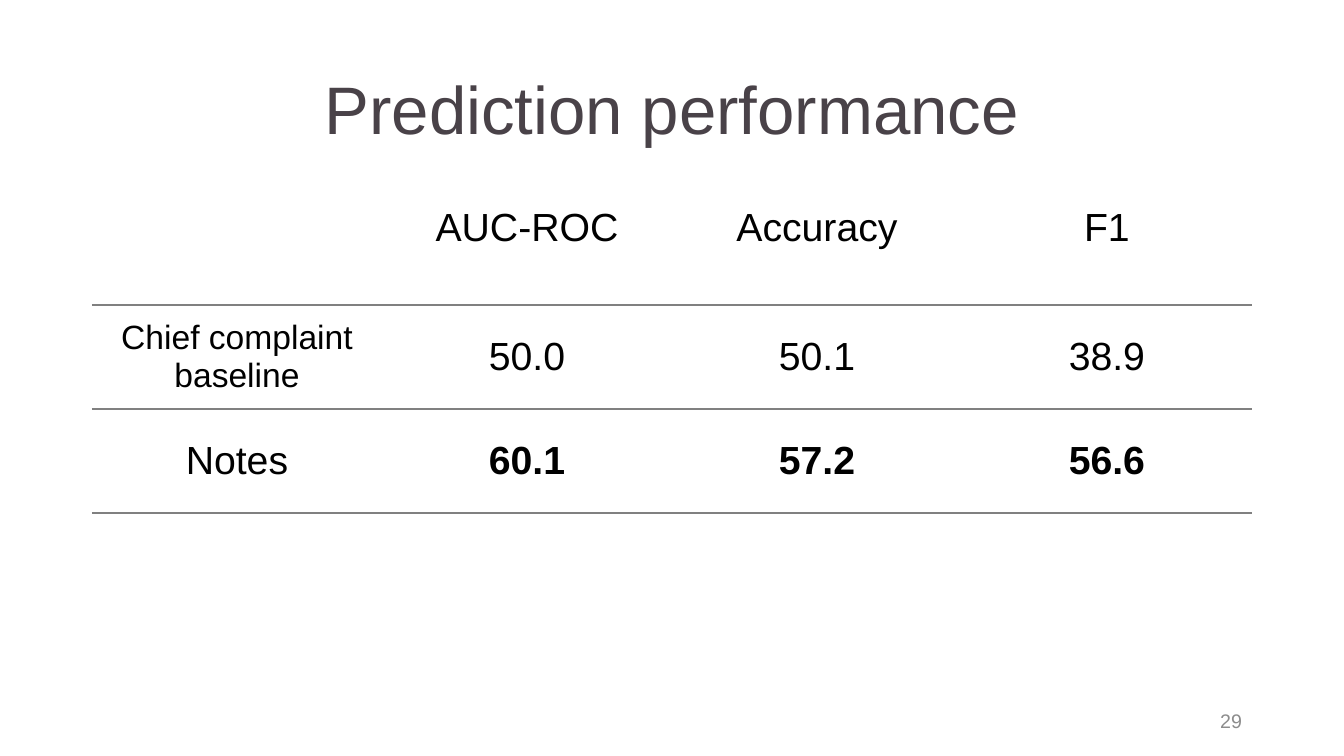
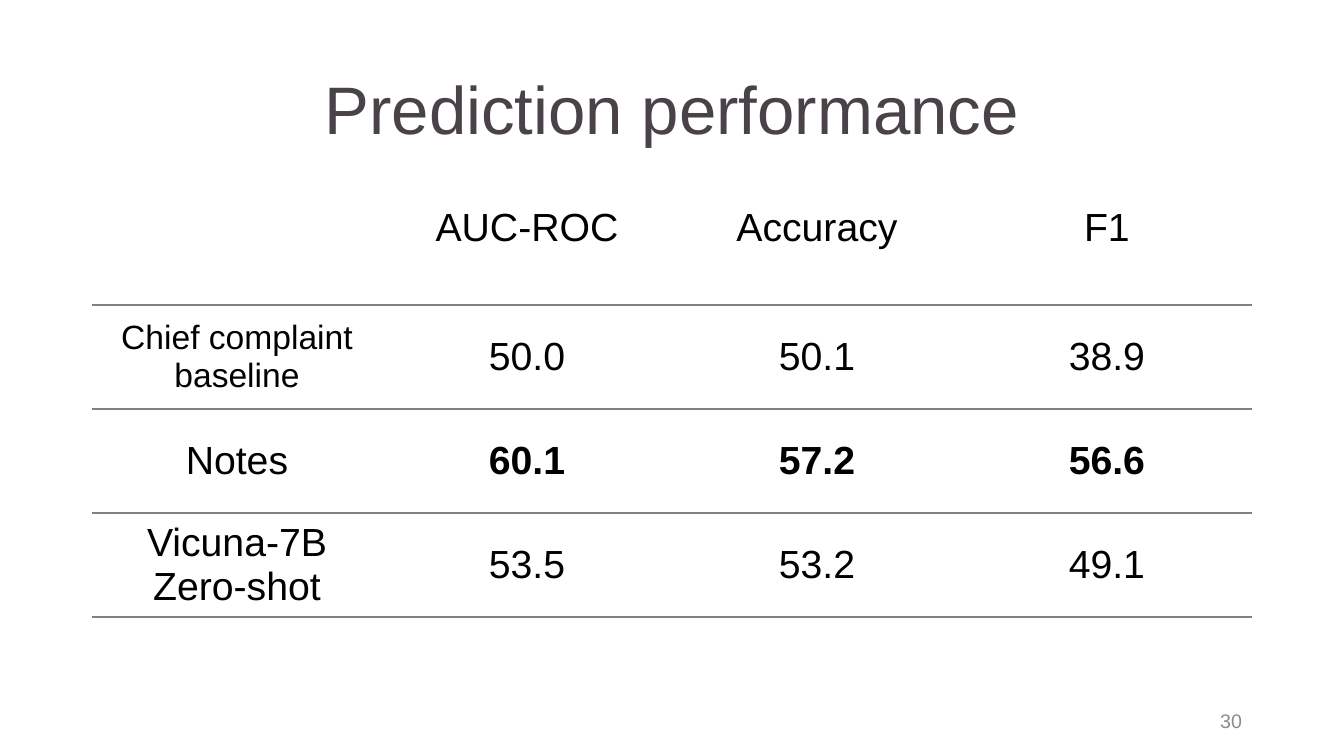
from lxml import etree
from pptx import Presentation
from pptx.dml.color import RGBColor
from pptx.enum.text import MSO_ANCHOR as ANCHOR, PP_ALIGN as ALIGN
from pptx.oxml.ns import qn
from pptx.util import Emu, Pt

EMU_PER_PX = 914400 / 100.8
SLIDE_W, SLIDE_H = 1344, 756
FONT = "Arial"
BLACK, TITLE_COLOR, RULE_COLOR, NUMBER_COLOR = "000000", "494248", "808080", "8C8C8C"
NO_TABLE_STYLE = "{2D5ABB26-0587-4C30-8999-92F81FD0307C}"

TITLE_BOX = (92, 40, 1160, 146)
TABLE_BOX = (92, 201, 1160)
NUMBER_BOX = (950, 701, 302, 40)
ROW_H = 104
RULE_PT = 2.25

HEADER = ("", "AUC-ROC", "Accuracy", "F1")
BASELINE = ("Chief complaint baseline", "50.0", "50.1", "38.9")
NOTES = ("Notes", "60.1", "57.2", "56.6")
VICUNA = ("Vicuna-7B Zero-shot", "53.5", "53.2", "49.1")
SLIDES = (
    (29, (HEADER, BASELINE, NOTES)),
    (30, (HEADER, BASELINE, NOTES, VICUNA)),
)


def px(n):
    return Emu(round(n * EMU_PER_PX))


def rgb(color):
    return RGBColor.from_string(color)


def set_text(tf, text, size, color, align=ALIGN.CENTER, bold=False):
    tf.text = text
    p = tf.paragraphs[0]
    p.alignment = align
    for r in p.runs:
        r.font.name = FONT
        r.font.size = Pt(size)
        r.font.bold = bold
        r.font.color.rgb = rgb(color)
    return p


def add_title(s, box, text):
    title = s.shapes.title
    title.left, title.top, title.width, title.height = map(px, box)
    tf = title.text_frame
    tf.vertical_anchor = ANCHOR.MIDDLE
    set_text(tf, text, 48, TITLE_COLOR).line_spacing = 0.9


def add_bottom_rule(cell):
    ln = etree.Element(qn("a:lnB"), w=str(Pt(RULE_PT)))
    fill = etree.SubElement(ln, qn("a:solidFill"))
    etree.SubElement(fill, qn("a:srgbClr"), val=RULE_COLOR)
    cell._tc.get_or_add_tcPr().insert(0, ln)


def add_score_table(s, box, rows):
    """Ruled table with equal columns; the notes scores are bold."""
    left, top, width = map(px, box)
    frame = s.shapes.add_table(len(rows), len(HEADER), left, top,
                               width, px(ROW_H * len(rows)))
    table = frame.table
    table.first_row = table.horz_banding = False
    table._tbl.tblPr.find(qn("a:tableStyleId")).text = NO_TABLE_STYLE
    for i, row in enumerate(rows):
        table.rows[i].height = px(ROW_H)
        for j, text in enumerate(row):
            cell = table.cell(i, j)
            cell.fill.background()
            cell.vertical_anchor = ANCHOR.MIDDLE if i else ANCHOR.TOP
            size = 24 if text == BASELINE[0] else 28
            set_text(cell.text_frame, text, size, BLACK,
                     bold=row is NOTES and j > 0)
            add_bottom_rule(cell)


def add_slide_number(s, box, number):
    tf = s.shapes.add_textbox(*map(px, box)).text_frame
    tf.word_wrap = True
    tf.vertical_anchor = ANCHOR.MIDDLE
    set_text(tf, str(number), 14, NUMBER_COLOR, ALIGN.RIGHT)


def add_performance_slide(prs, number, rows):
    s = prs.slides.add_slide(prs.slide_layouts[5])
    add_title(s, TITLE_BOX, "Prediction performance")
    add_score_table(s, TABLE_BOX, rows)
    add_slide_number(s, NUMBER_BOX, number)


def main():
    prs = Presentation()
    prs.slide_width, prs.slide_height = px(SLIDE_W), px(SLIDE_H)
    for number, rows in SLIDES:
        add_performance_slide(prs, number, rows)
    prs.save("out.pptx")


if __name__ == "__main__":
    main()
